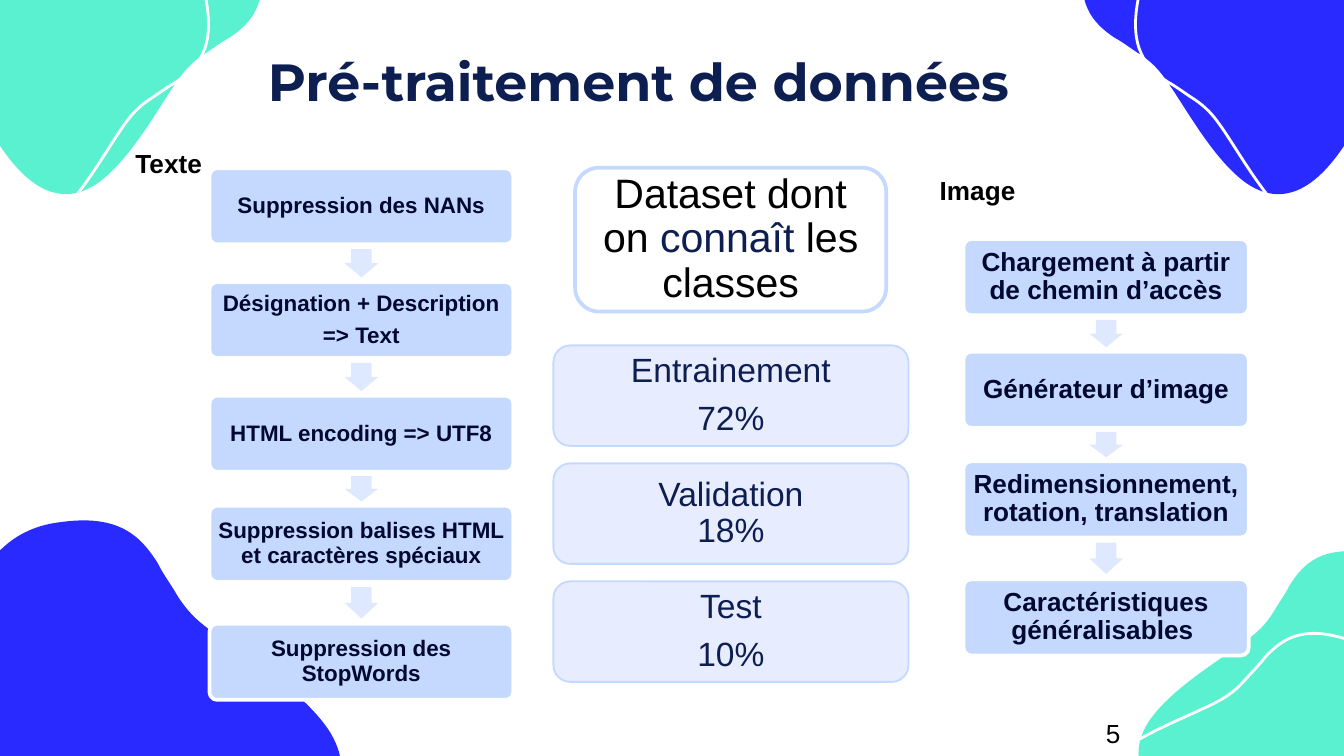
"""Build the slide on data preprocessing for text and images."""
from math import cos, radians, sin

from lxml import etree
from pptx import Presentation
from pptx import util as u
from pptx.dml import color
from pptx.enum import shapes, text
from pptx.oxml import ns

KIND = shapes.MSO_SHAPE
MID, TOP = text.MSO_ANCHOR.MIDDLE, text.MSO_ANCHOR.TOP
LEFT, MID_X = text.PP_ALIGN.LEFT, text.PP_ALIGN.CENTER
BLUE, TEAL, WHITE, NAVY = "282AFF", "5AF1D1", "FFFFFF", "0D1E51"
PALE = "C5D9FF"


def paint(item, fill=None, line=None, width=1):
    item.shadow.inherit = False
    for part, tint in ((item.fill, fill), (item.line.fill, line)):
        if tint:
            part.solid()
            part.fore_color.rgb = color.RGBColor.from_string(tint)
        else:
            part.background()
    if line:
        item.line.width = u.Pt(width)


def write(item, words, size, tint, bold=False, pad=(0.25, 0.13), space=0.9,
          align=MID_X, anchor=MID, gap=0, font="Arial"):
    frame = item.text_frame
    frame.text = words
    frame.word_wrap = True
    frame.vertical_anchor = anchor
    frame.margin_left = frame.margin_right = u.Cm(pad[0])
    frame.margin_top = frame.margin_bottom = u.Cm(pad[1])
    for row, para in enumerate(frame.paragraphs):
        para.alignment = align
        para.line_spacing = space
        para.space_before = u.Pt(gap if row else 0)
        for run in para.runs:
            run.font.name, run.font.size, run.font.bold = font, u.Pt(size), bold
            run.font.color.rgb = color.RGBColor.from_string(tint)


deck = Presentation()
deck.slide_width, deck.slide_height = u.Cm(25.4), u.Cm(14.29)
slide = deck.slides.add_slide(deck.slide_layouts[6])
items = slide.shapes

start = (0.47, 3.14)
curves = [
    ((0.95, 3.47), (1.51, 3.47), (2.12, 2.71)),
    ((3.57, 0.93), (2.17, -1.18), (1.46, -1.79)),
    ((1.36, -1.89), (1.26, -1.97), (1.16, -2.02)),
    ((-0.32, -3.01), (-2.32, -2.71), (-2.58, -1.18)),
    ((-2.76, -0.24), (-2.43, 0.11), (-2.02, 0.39)),
    ((-1.87, 0.47), (-1.74, 0.57), (-1.59, 0.67)),
    ((-1.38, 0.8), (-1.21, 0.95), (-1.05, 1.18)),
    ((-0.7, 1.66), (-0.17, 2.68), start),
]
tilt = 214
co, si = cos(radians(tilt)), sin(radians(tilt))
base_w, base_h = 6.88, 4.65

for x, y, turn, side, wide, high, fill, line in [
    (23.08, 0.32, 0, 1, base_w, base_h, BLUE, None),
    (24.09, 1.16, 0, 1, base_w, base_h, None, WHITE),
    (24.83, 13.07, 88.1, 1, base_w, base_h, TEAL, None),
    (23.99, 14.49, 98.4, 1, base_w, base_h, None, WHITE),
    (2.32, 0.32, 0, -1, base_w, base_h, TEAL, None),
    (1.31, 1.16, 0, -1, base_w, base_h, None, WHITE),
    (2.45, 13.07, 88.1, -1, 8.41, 5.56, BLUE, None),
]:
    x0, y0 = x - wide / 2, y - high / 2
    pen = items.build_freeform(u.Cm(x0), u.Cm(y0))
    pen.add_line_segments([(u.Cm(x0 + a), u.Cm(y0 + b))
                           for a, b in ((wide, 0), (wide, high), (0, high))])
    blob = pen.convert_to_shape()
    track = next(blob._element.iter(ns.qn("a:path")))
    for old in list(track):
        track.remove(old)
    for name, spots in [("moveTo", [start])] + [("cubicBezTo", c) for c in curves]:
        move = etree.SubElement(track, ns.qn("a:" + name))
        for a, b in spots:
            across = wide / 2 + side * (a * co + b * si) * wide / base_w
            down = high / 2 + (b * co - a * si) * high / base_h
            etree.SubElement(move, ns.qn("a:pt"), x=str(u.Cm(across)), y=str(u.Cm(down)))
    etree.SubElement(track, ns.qn("a:close"))
    blob.rotation = side * (tilt + turn) % 360
    paint(blob, fill, line, 1.5)

for x, y, wide, high, turn in [
    (23.29, 4.06, 0.46, 0.46, 60.8), (22.78, 3.68, 0.36, 0.3, 60.8),
    (24.33, 8.59, 0.36, 0.3, 156.8), (20.83, 13.69, 0.36, 0.3, 156.8),
    (1.65, 4.06, 0.46, 0.46, 299.2), (2.26, 3.68, 0.36, 0.3, 299.2),
    (0.71, 8.59, 0.36, 0.3, 203.2),
]:
    dot = items.add_shape(KIND.OVAL, u.Cm(x), u.Cm(y), u.Cm(wide), u.Cm(high))
    dot.rotation = turn
    paint(dot, WHITE)

title = items.add_textbox(u.Cm(4.7), u.Cm(0.08), u.Cm(14.73), u.Cm(2.03))
write(title, "Pré-traitement de données", 28, NAVY, True, (0.25, 0.25), 1.5,
      anchor=TOP, font="Montserrat")

for words, x, y, wide, high, bold in [
    ("5", 20.65, 13.44, 1.24, 0.86, False),
    ("Texte", 2.31, 2.65, 10.67, 1.45, True),
    ("Image", 17.51, 3.16, 2.21, 0.86, True),
]:
    label = items.add_textbox(u.Cm(x), u.Cm(y), u.Cm(wide), u.Cm(high))
    write(label, words, 14, "000000", bold, space=1, align=LEFT, anchor=TOP)

high = 1.44
for x, wide, size, pad, flow in [
    (3.96, 5.74, 12, 0.12, [
        (3.18, "Suppression des NANs"),
        (5.33, "Désignation + Description\n=> Text"),
        (7.48, "HTML encoding => UTF8"),
        (9.56, "Suppression balises HTML et caractères spéciaux"),
        (11.79, "Suppression des StopWords")]),
    (18.21, 5.39, 14, 0.14, [
        (4.52, "Chargement à partir de chemin d’accès"),
        (6.65, "Générateur d’image"),
        (8.72, "Redimensionnement, rotation, translation"),
        (10.95, "Caractéristiques généralisables ")]),
]:
    base = None
    for y, words in flow:
        if base:
            span, tall = 0.75 * (y - base), 0.64
            arrow = items.add_shape(
                KIND.RIGHT_ARROW, u.Cm(x + (wide - span) / 2),
                u.Cm((base + y - tall) / 2), u.Cm(span), u.Cm(tall))
            arrow.rotation = 90
            arrow.adjustments[0] = 0.6
            paint(arrow, "DEE9FF")
        box = items.add_shape(KIND.ROUNDED_RECTANGLE, u.Cm(x), u.Cm(y), u.Cm(wide), u.Cm(high))
        box.adjustments[0] = 0.1
        paint(box, PALE, WHITE, 2)
        write(box, words, size, "000830", True, (pad, pad), gap=4.2)
        base = y + high

head = items.add_shape(KIND.ROUNDED_RECTANGLE, u.Cm(10.87), u.Cm(3.17), u.Cm(5.88), u.Cm(2.72))
paint(head, WHITE, PALE, 2)
write(head, "Dataset dont on ", 22, "000000", pad=(0.23, 0.23))
for words, tint in (("connaît", NAVY), (" les classes", "000000")):
    run = head.text_frame.paragraphs[0].add_run()
    run.text = words
    run.font.name, run.font.size = "Arial", u.Pt(22)
    run.font.color.rgb = color.RGBColor.from_string(tint)

for row, (words, gap) in enumerate([
    ("Entrainement\n72%", 6.3), ("Validation\n18%", 0), ("Test\n10%", 6.3),
]):
    card = items.add_shape(KIND.ROUNDED_RECTANGLE, u.Cm(10.46), u.Cm(6.53 + 2.23 * row),
                           u.Cm(6.71), u.Cm(1.9))
    paint(card, "E8ECFF", PALE)
    write(card, words, 18, NAVY, pad=(0.18, 0.18), gap=gap)

deck.save("out.pptx")
